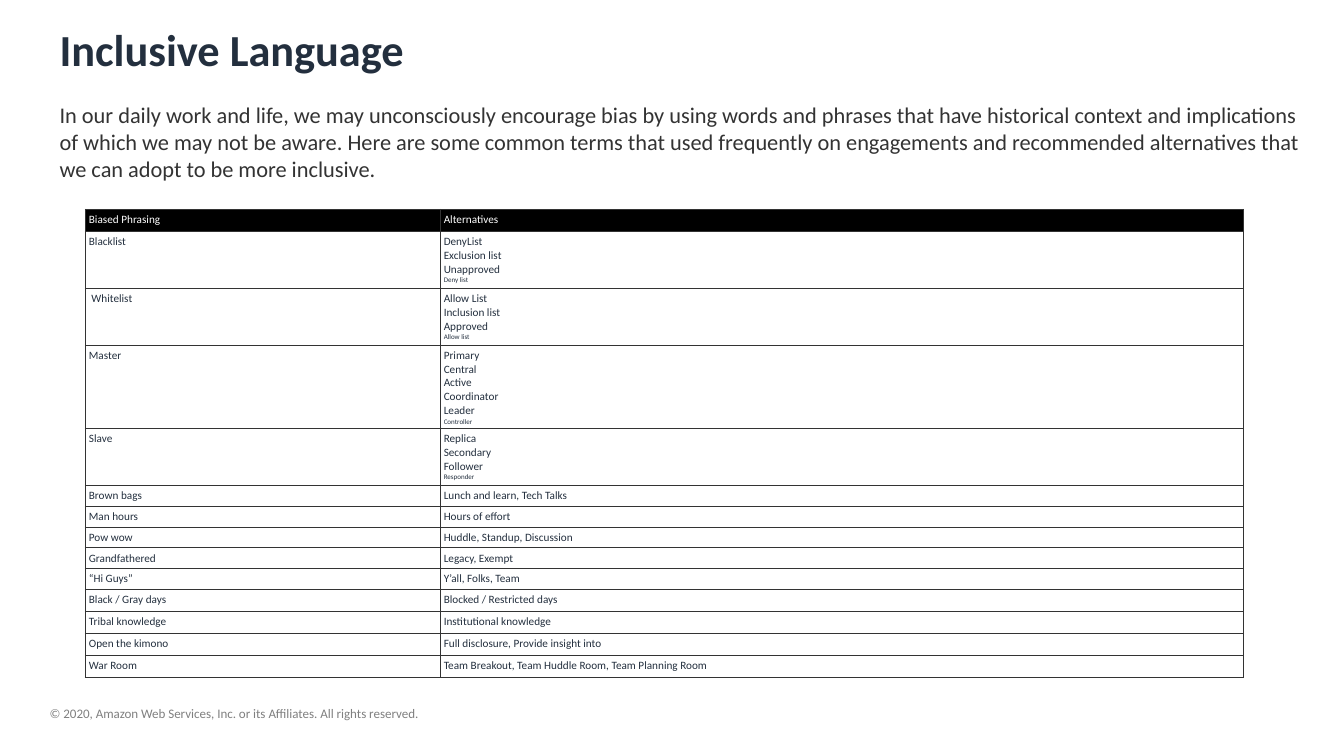
"""Build the Inclusive Language slide with its table of alternative terms."""
from dataclasses import dataclass

import pptx
import pptx.dml.color
import pptx.enum.text
import pptx.oxml
import pptx.oxml.ns
import pptx.util

Pt = pptx.util.Pt

NAVY, GRAY, BLACK, WHITE = "232F3E", "333333", "000000", "FFFFFF"
TERM_SIZE, SMALL_SIZE = 8, 5
CELL_INSET = 2.5
COLUMN_WIDTHS = (253.5, 574)


@dataclass(frozen=True)
class Term:
    biased: str
    alternatives: tuple[str, ...]
    height: float
    fill: str = WHITE
    color: str = NAVY


@dataclass(frozen=True)
class Passage:
    text: str
    left: float
    top: float
    width: float
    height: float
    size: float
    color: str
    bold: bool = False
    inset: tuple[float, float] = (7.2, 3.6)


PASSAGES = (
    Passage("© 2020, Amazon Web Services, Inc. or its Affiliates. All rights reserved.",
            35.5, 504, 466.5, 11.5, 9.3, "808080", inset=(0, 0)),
    Passage("Inclusive Language", 35.5, 12.5, 861, 57, 31.7, NAVY, bold=True),
    Passage("In our daily work and life, we may unconsciously encourage bias by using words "
            "and phrases that have historical context and implications of which we may not be "
            "aware. Here are some common terms that used frequently on engagements and "
            "recommended alternatives that we can adopt to be more inclusive.",
            35.5, 69, 901, 65.5, 16, GRAY),
)

TERMS = (
    Term("Biased Phrasing", ("Alternatives",), 15.8, BLACK, WHITE),
    Term("Blacklist", ("DenyList", "Exclusion list", "Unapproved", "Deny list"), 40.6),
    Term(" Whitelist", ("Allow List", "Inclusion list", "Approved", "Allow list"), 40.6),
    Term("Master", ("Primary", "Central", "Active", "Coordinator", "Leader", "Controller"), 59.6),
    Term("Slave", ("Replica", "Secondary", "Follower", "Responder"), 40.6),
    Term("Brown bags", ("Lunch and learn, Tech Talks",), 14.9),
    Term("Man hours", ("Hours of effort",), 14.9),
    Term("Pow wow", ("Huddle, Standup, Discussion",), 14.9),
    Term("Grandfathered", ("Legacy, Exempt",), 14.9),
    Term("“Hi Guys”", ("Y’all, Folks, Team",), 14.9),
    Term("Black / Gray days", ("Blocked / Restricted days",), 15.7),
    Term("Tribal knowledge", ("Institutional knowledge",), 15.7),
    Term("Open the kimono", ("Full disclosure, Provide insight into",), 15.7),
    Term("War Room", ("Team Breakout, Team Huddle Room, Team Planning Room",), 15.7),
)


def rgb(value: str) -> pptx.dml.color.RGBColor:
    return pptx.dml.color.RGBColor.from_string(value)


def write(paragraph, text: str, *, size: float, color: str, bold: bool = False) -> None:
    run = paragraph.add_run()
    run.text = text
    run.font.name = "Calibri"
    run.font.size = Pt(size)
    run.font.bold = bold
    run.font.color.rgb = rgb(color)


def add_passage(slide, passage: Passage) -> None:
    box = slide.shapes.add_textbox(
        Pt(passage.left), Pt(passage.top), Pt(passage.width), Pt(passage.height))
    frame = box.text_frame
    frame.word_wrap = True
    frame.vertical_anchor = pptx.enum.text.MSO_ANCHOR.TOP
    side, end = passage.inset
    frame.margin_left = frame.margin_right = Pt(side)
    frame.margin_top = frame.margin_bottom = Pt(end)
    write(frame.paragraphs[0], passage.text,
          size=passage.size, color=passage.color, bold=passage.bold)


def add_borders(cell) -> None:
    properties = cell._tc.get_or_add_tcPr()
    for position, edge in enumerate(("lnL", "lnR", "lnT", "lnB")):
        border = pptx.oxml.parse_xml(
            f'<a:{edge} {pptx.oxml.ns.nsdecls("a")} w="{Pt(0.75)}">'
            f'<a:solidFill><a:srgbClr val="{GRAY}"/></a:solidFill></a:{edge}>')
        properties.insert(position, border)


def fill_cell(cell, lines: tuple[str, ...], term: Term) -> None:
    cell.margin_left = cell.margin_right = Pt(CELL_INSET)
    cell.margin_top = cell.margin_bottom = Pt(CELL_INSET)
    cell.fill.solid()
    cell.fill.fore_color.rgb = rgb(term.fill)
    add_borders(cell)
    frame = cell.text_frame
    for index, line in enumerate(lines):
        paragraph = frame.add_paragraph() if index else frame.paragraphs[0]
        closes_list = 0 < index == len(lines) - 1
        write(paragraph, line, size=SMALL_SIZE if closes_list else TERM_SIZE, color=term.color)


def add_terms(slide) -> None:
    terms = slide.shapes.add_table(
        len(TERMS), len(COLUMN_WIDTHS), Pt(61), Pt(149.5),
        Pt(sum(COLUMN_WIDTHS)), Pt(sum(term.height for term in TERMS))).table
    terms.first_row = terms.horz_banding = False
    for column, width in zip(terms.columns, COLUMN_WIDTHS):
        column.width = Pt(width)
    for row, term in zip(terms.rows, TERMS):
        row.height = Pt(term.height)
        for cell, lines in zip(row.cells, ((term.biased,), term.alternatives)):
            fill_cell(cell, lines, term)


def main() -> None:
    deck = pptx.Presentation()
    deck.slide_width, deck.slide_height = Pt(960), Pt(540)
    slide = deck.slides.add_slide(deck.slide_layouts[6])
    for passage in PASSAGES:
        add_passage(slide, passage)
    add_terms(slide)
    deck.save("out.pptx")


if __name__ == "__main__":
    main()
